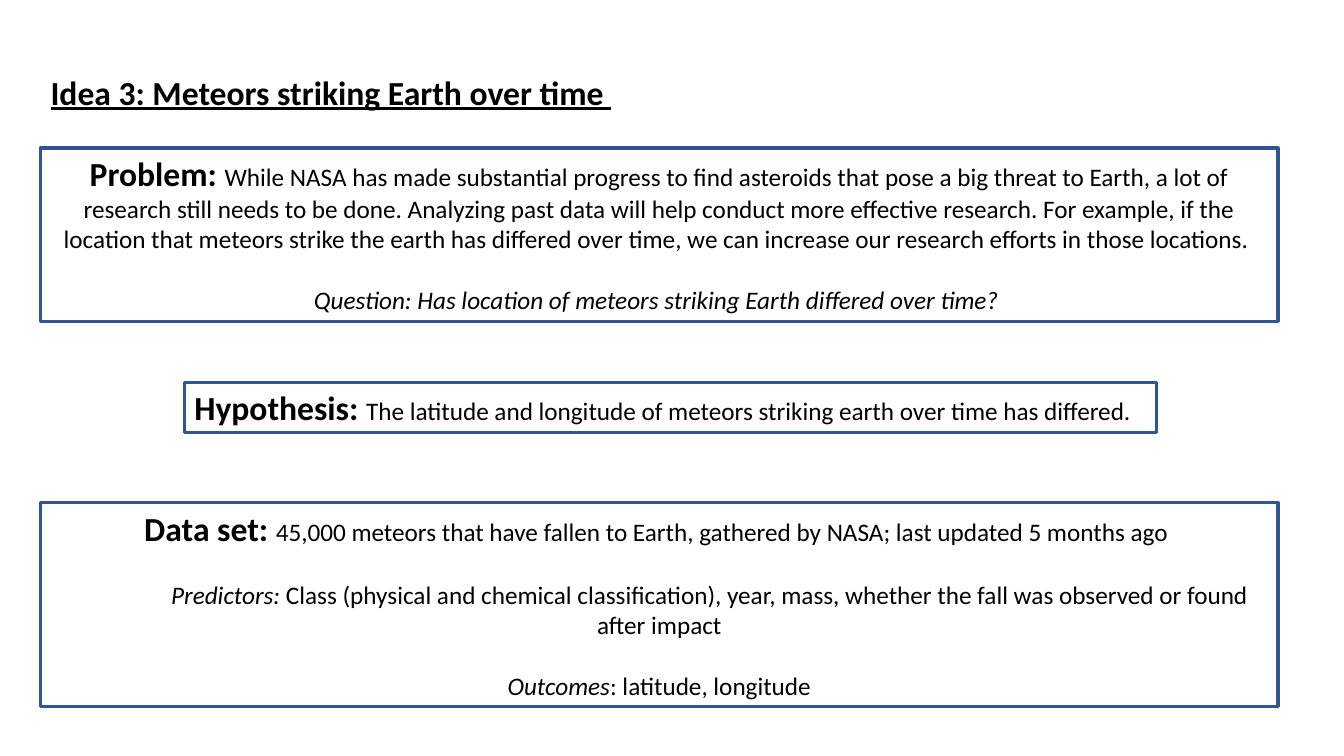
from pptx import Presentation
from pptx.dml.color import RGBColor
from pptx.enum.shapes import MSO_SHAPE
from pptx.enum.text import MSO_ANCHOR, PP_ALIGN
from pptx.util import Cm, Pt

COLORS = {"text": "000000", "border": "2F5597"}
FONT = "Calibri"
STYLES = {
    "title": {"size": 24, "bold": True, "underline": True},
    "label": {"size": 24, "bold": True},
    "body": {"size": 18},
    "term": {"size": 18, "italic": True},
}
LINE_GAP = Pt(22)
FIRST_LINE_INDENT = Cm(2.54)

TITLE = {
    "place": (1.02, 1.68, 15, 1.27),
    "runs": [("title", "Idea 3: Meteors striking Earth over time ")],
}
PANELS = [
    {
        "place": (1.02, 3.73, 31.19, 4.37),
        "align": PP_ALIGN.CENTER,
        "paragraphs": [
            [("label", "Problem: "),
             ("body", "While NASA has made substantial progress to find asteroids that "
                      "pose a big threat to Earth, a lot of research still needs to be done. "
                      "Analyzing past data will help conduct more effective research. "
                      "For example, if the location that meteors strike the earth has differed "
                      "over time, we can increase our research efforts in those locations. ")],
            [("term", "Question: Has location of meteors striking Earth differed over time? ")],
        ],
    },
    {
        "place": (4.65, 9.63, 24.49, 1.27),
        "align": PP_ALIGN.LEFT,
        "paragraphs": [
            [("label", "Hypothesis: "),
             ("body", "The latitude and longitude of meteors striking earth over time "
                      "has differed.")],
        ],
    },
    {
        "place": (1.02, 12.67, 31.19, 5.13),
        "align": PP_ALIGN.CENTER,
        "indented": 1,
        "paragraphs": [
            [("label", "Data set: "),
             ("body", "45,000 meteors that have fallen to Earth, gathered by NASA; "
                      "last updated 5 months ago ")],
            [("term", "Predictors: "),
             ("body", "Class (physical and chemical classification), year, mass, whether "
                      "the fall was observed or found after impact")],
            [("term", "Outcomes"), ("body", ": latitude, longitude")],
        ],
    },
]


def add_runs(para, runs):
    for style_name, text in runs:
        style = STYLES[style_name]
        span = para.add_run()
        span.text = text
        span.font.name = FONT
        span.font.size = Pt(style["size"])
        span.font.bold = style.get("bold", False)
        span.font.italic = style.get("italic", False)
        span.font.underline = style.get("underline", False)
        span.font.color.rgb = RGBColor.from_string(COLORS["text"])


def set_title(page):
    box = page.shapes.title
    box.left, box.top, box.width, box.height = map(Cm, TITLE["place"])
    frame = box.text_frame
    frame.word_wrap = True
    frame.vertical_anchor = MSO_ANCHOR.TOP
    para = frame.paragraphs[0]
    para.alignment = PP_ALIGN.LEFT
    add_runs(para, TITLE["runs"])


def add_panel(page, panel):
    box = page.shapes.add_shape(MSO_SHAPE.RECTANGLE, *map(Cm, panel["place"]))
    box.shadow.inherit = False
    box.fill.background()
    box.line.color.rgb = RGBColor.from_string(COLORS["border"])
    box.line.width = Pt(2.25)
    frame = box.text_frame
    frame.word_wrap = True
    frame.vertical_anchor = MSO_ANCHOR.TOP
    for index, runs in enumerate(panel["paragraphs"]):
        para = frame.add_paragraph() if index else frame.paragraphs[0]
        para.alignment = panel["align"]
        if index:
            para.space_before = LINE_GAP
        if index == panel.get("indented"):
            para._p.get_or_add_pPr().set("indent", str(FIRST_LINE_INDENT))
        add_runs(para, runs)


def main():
    deck = Presentation()
    deck.slide_width, deck.slide_height = Cm(33.87), Cm(19.05)
    page = deck.slides.add_slide(deck.slide_layouts[5])
    set_title(page)
    for panel in PANELS:
        add_panel(page, panel)
    deck.save("out.pptx")


if __name__ == "__main__":
    main()
